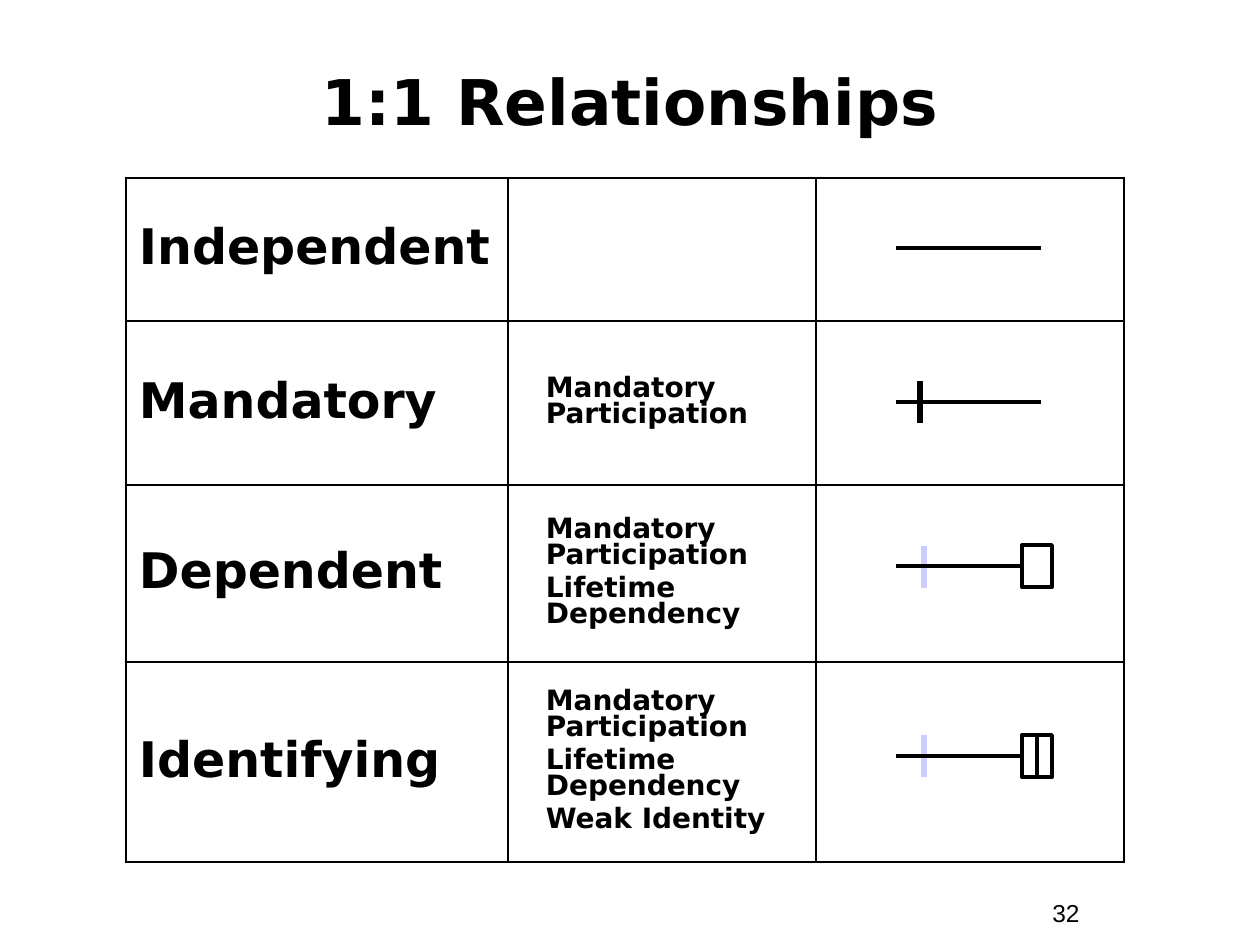
from copy import deepcopy
from dataclasses import dataclass

from lxml import etree
from pptx import Presentation
from pptx import util as u
from pptx.dml.color import RGBColor
from pptx.enum import shapes, text
from pptx.oxml.ns import qn

SCALE = 914400 / 126  # EMU in one px


def px(length):
    return u.Emu(round(length * SCALE))


@dataclass(frozen=True)
class Theme:
    ink: str = "000000"
    pale: str = "CCCCFF"
    heading_font: str = "DejaVu Sans"
    number_font: str = "Arial"
    title_size: int = 36
    name_size: int = 28
    rule_size: int = 16
    number_size: int = 14
    border: float = 1.08
    stroke: float = 2.25
    bar: float = 3


class Page:
    def __init__(self, deck, theme):
        self.theme = theme
        self.slide = deck.slides.add_slide(deck.slide_layouts[6])

    def fill_frame(self, frame, lines, size, font=None, bold=True, **layout):
        """Fill a text frame, one paragraph per line of text."""
        gap = layout.pop("space_before", None)
        for index, line in enumerate(lines):
            para = frame.paragraphs[0] if index == 0 else frame.add_paragraph()
            para.text = line
            if index and gap:
                para.space_before = gap
            for name, value in layout.items():
                setattr(para, name, value)
            style = dict(size=u.Pt(size), bold=bold, name=font or self.theme.heading_font)
            for span in para.runs:
                for name, value in style.items():
                    setattr(span.font, name, value)
                span.font.color.rgb = RGBColor.from_string(self.theme.ink)
            # Line breaks take the type size of the words around them
            for line_break in para._p.findall(qn("a:br")):
                line_break.append(deepcopy(para.runs[0]._r.rPr))

    def text(self, area, line, size, anchor=text.MSO_ANCHOR.TOP, **style):
        frame = self.slide.shapes.add_textbox(*map(px, area)).text_frame
        frame.word_wrap = True
        frame.vertical_anchor = anchor
        self.fill_frame(frame, [line], size, **style)

    def table(self, left, top, widths, heights):
        area = map(px, (left, top, sum(widths), sum(heights)))
        table = self.slide.shapes.add_table(len(heights), len(widths), *area).table
        table.first_row = table.horz_banding = False
        for column, width in zip(table.columns, widths):
            column.width = px(width)
        for row, height in zip(table.rows, heights):
            row.height = px(height)
        for cell in table.iter_cells():
            self.border(cell)
            cell.fill.background()
        return table

    def border(self, cell):
        properties = cell._tc.get_or_add_tcPr()
        for side in ("a:lnL", "a:lnR", "a:lnT", "a:lnB"):
            edge = etree.SubElement(properties, qn(side), w=str(u.Pt(self.theme.border)))
            fill = etree.SubElement(edge, qn("a:solidFill"))
            etree.SubElement(fill, qn("a:srgbClr"), val=self.theme.ink)

    def cell(self, cell, lines, size, left_margin, **layout):
        margins = dict(margin_left=left_margin, margin_right=13, margin_top=6, margin_bottom=6)
        for name, value in margins.items():
            setattr(cell, name, px(value))
        cell.vertical_anchor = text.MSO_ANCHOR.MIDDLE
        self.fill_frame(cell.text_frame, lines, size, **layout)

    def stroke(self, shape, color, width):
        shape.line.color.rgb = RGBColor.from_string(color)
        shape.line.width = u.Pt(width)

    def line(self, start, end, color=None, width=None, target=None):
        line = self.slide.shapes.add_connector(
            shapes.MSO_CONNECTOR.STRAIGHT, *map(px, (*start, *end)))
        self.stroke(line, color or self.theme.ink, width or self.theme.stroke)
        etree.SubElement(line._element.spPr, qn("a:effectLst"))
        if target is not None:
            line.end_connect(target, 1)

    def box(self, area, parent=None):
        holder = (parent or self.slide).shapes
        box = holder.add_shape(shapes.MSO_SHAPE.RECTANGLE, *map(px, area))
        box.shadow.inherit = False
        box.fill.background()
        self.stroke(box, self.theme.ink, self.theme.stroke)
        return box


ROWS = [
    ("Independent", 143),
    ("Mandatory", 164),
    ("Dependent", 177),
    ("Identifying", 200),
]
RULES = ["Mandatory\vParticipation", "Lifetime\vDependency", "Weak Identity"]

LINE_LEFT, LINE_RIGHT = 896, 1041
END_LEFT, END_WIDTH, END_HEIGHT = 1022, 30, 42


def main():
    deck = Presentation()
    deck.slide_width, deck.slide_height = px(1260), px(945)
    theme = Theme()
    page = Page(deck, theme)

    # Title and page number
    page.text((42, 42, 1176, 116), "1:1 Relationships", theme.title_size,
              text.MSO_ANCHOR.MIDDLE, alignment=text.PP_ALIGN.CENTER)
    page.text((1040, 892, 116, 43), "32", theme.number_size,
              font=theme.number_font, bold=False)

    # Table: each kind of relationship adds one rule to the kind above it
    table = page.table(126, 178, (382, 308, 308), [height for _, height in ROWS])
    for index, (name, _) in enumerate(ROWS):
        page.cell(table.cell(index, 0), [name], theme.name_size, 13, line_spacing=0.9)
        if index:
            page.cell(table.cell(index, 1), RULES[:index], theme.rule_size, 38,
                      line_spacing=0.8, space_before=u.Pt(4))

    # Participation bars
    for x, middle, color in ((920, 402, theme.ink), (924, 567, theme.pale),
                             (924, 756, theme.pale)):
        half = END_HEIGHT // 2
        page.line((x, middle - half), (x, middle + half), color, theme.bar)

    # Independent and mandatory: plain lines
    for middle in (248, 402):
        page.line((LINE_LEFT, middle), (LINE_RIGHT, middle))

    # Dependent: line to a single box
    dependent = page.box((END_LEFT, 545, END_WIDTH, END_HEIGHT))

    # Identifying: line to a box in two halves
    pair = page.slide.shapes.add_group_shape()
    half = END_WIDTH // 2
    identifying, _ = [page.box((END_LEFT + side * half, 735, half, END_HEIGHT), pair)
                      for side in range(2)]

    for middle, target in ((566, dependent), (756, identifying)):
        page.line((LINE_LEFT, middle), (END_LEFT, middle), target=target)

    deck.save("out.pptx")


if __name__ == "__main__":
    main()
